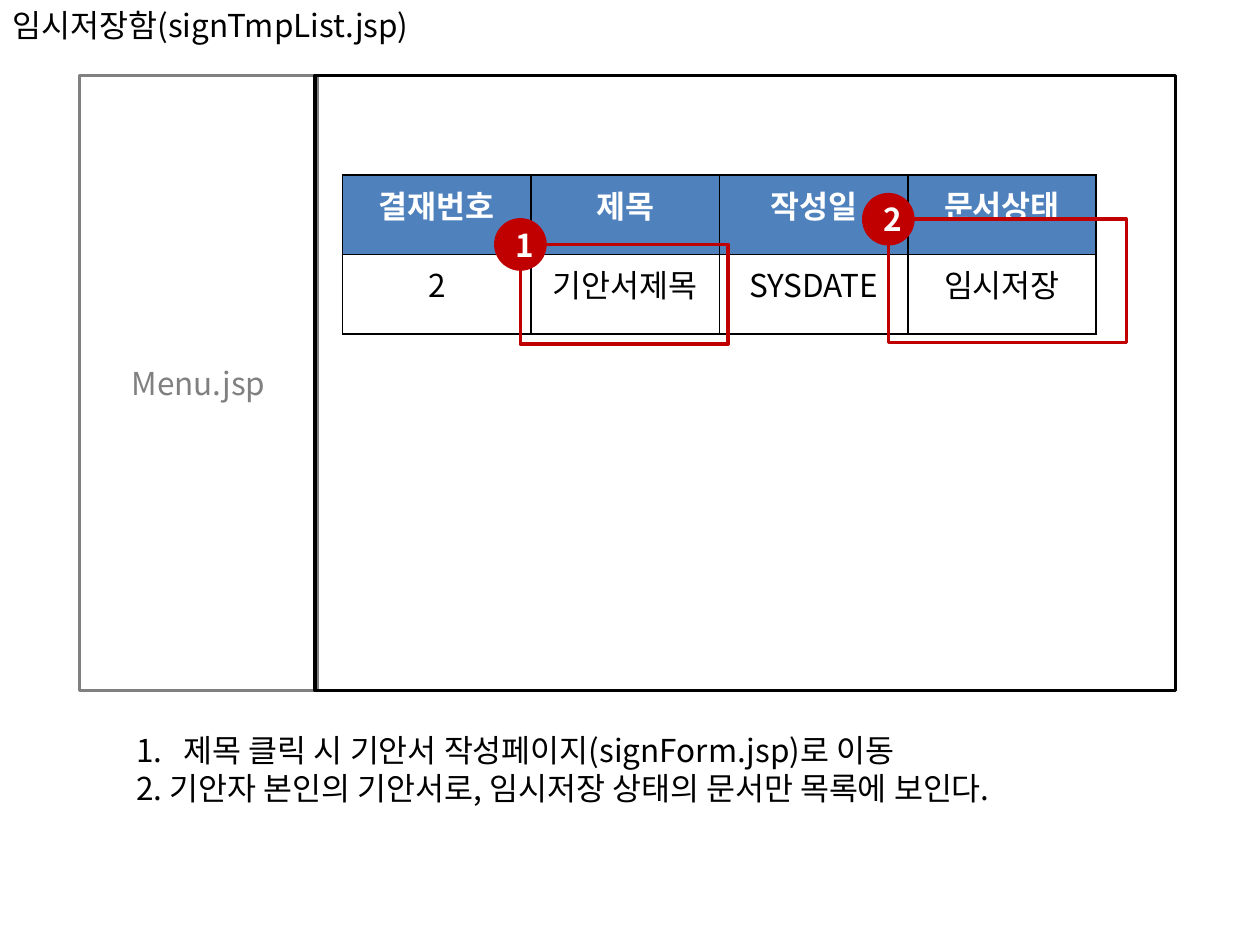
"""Build the wireframe slide for the temporary sign document list."""
from lxml.etree import SubElement
from pptx import Presentation
from pptx.dml.color import RGBColor
from pptx.enum.shapes import MSO_SHAPE
from pptx.enum.text import MSO_ANCHOR, MSO_AUTO_SIZE, PP_ALIGN
from pptx.oxml.ns import qn
from pptx.util import Inches, Pt

COLORS = {"ink": "000000", "paper": "FFFFFF", "menu": "808080", "head": "4F81BD", "mark": "C00000"}
FONT = "Noto Sans CJK KR"

prs = Presentation()
prs.slide_width, prs.slide_height = Inches(10), Inches(7.5)
COL, ROW = prs.slide_width / 100, prs.slide_height / 75
s = prs.slides.add_slide(prs.slide_layouts[1])


def write(tf, lines, color, align=PP_ALIGN.CENTER, bold=False):
    tf.text = "\n".join(lines)
    for p in tf.paragraphs:
        for name, value in {"alignment": align, "space_before": Pt(0)}.items():
            setattr(p, name, value)
        for r in p.runs:
            for name, value in {"size": Pt(18), "bold": bold, "name": FONT}.items():
                setattr(r.font, name, value)
            r.font.color.rgb = RGBColor.from_string(COLORS[color])
            SubElement(r.font._element, qn("a:ea"), typeface=FONT)


def add_box(kind, x, y, w, h, line, fill=None):
    sp = s.shapes.add_shape(kind, int(x * COL), int(y * ROW), int(w * COL), int(h * ROW))
    sp.shadow.inherit = False
    sp.line.color.rgb = RGBColor.from_string(COLORS[line])
    sp.line.width = Pt(2)
    if fill:
        sp.fill.solid()
        sp.fill.fore_color.rgb = RGBColor.from_string(COLORS[fill])
    else:
        sp.fill.background()
    return sp


notes = ["제목 클릭 시 기안서 작성페이지(signForm.jsp)로 이동",
         "2. 기안자 본인의 기안서로, 임시저장 상태의 문서만 목록에 보인다."]
title, body = s.placeholders
for sp, (x, y, w, h), lines in [
    (title, (0, 0, 33.5, 4), ["임시저장함(signTmpList.jsp)"]),
    (body, (9.8, 57.5, 82.7, 7.1), notes),
]:
    place = {"left": x * COL, "top": y * ROW, "width": w * COL, "height": h * ROW}
    for name, value in place.items():
        setattr(sp, name, int(value))
    tf = sp.text_frame
    write(tf, lines, "ink", PP_ALIGN.LEFT)
    layout = {"word_wrap": True, "auto_size": MSO_AUTO_SIZE.NONE, "vertical_anchor": MSO_ANCHOR.TOP}
    for name, value in layout.items():
        setattr(tf, name, value)

for p, indent in zip(body.text_frame.paragraphs, (Inches(0.38), 0)):
    pPr = p._p.get_or_add_pPr()
    pPr.set("marL", str(indent))
    pPr.set("indent", str(-indent))
    if indent:
        SubElement(pPr, qn("a:buFont"), typeface="+mj-lt")
        SubElement(pPr, qn("a:buAutoNum"), type="arabicPeriod")
    else:
        SubElement(pPr, qn("a:buNone"))

menu = add_box(MSO_SHAPE.RECTANGLE, 6.3, 6, 18.9, 48.8, "menu")
write(menu.text_frame, ["Menu.jsp"], "menu")
add_box(MSO_SHAPE.RECTANGLE, 25, 6, 68.3, 48.8, "ink")

rows = [["결재번호", "제목", "작성일", "문서상태"], ["2", "기안서제목", "SYSDATE", "임시저장"]]
table = s.shapes.add_table(2, 4, int(27.2 * COL), int(13.9 * ROW), int(59.8 * COL), int(12.6 * ROW)).table
table.first_row = table.horz_banding = False
for i, row in enumerate(rows):
    for j, text in enumerate(row):
        cell = table.cell(i, j)
        write(cell.text_frame, [text], "ink" if i else "paper", bold=i == 0)
        for side in ("lnL", "lnR", "lnT", "lnB"):
            ln = SubElement(cell._tc.get_or_add_tcPr(), qn("a:" + side), w=str(Pt(1)))
            SubElement(SubElement(ln, qn("a:solidFill")), qn("a:srgbClr"), val=COLORS["ink"])
        if i:
            cell.fill.background()
        else:
            cell.fill.solid()
            cell.fill.fore_color.rgb = RGBColor.from_string(COLORS["head"])

BADGE = 3.9
for number, (x, y, w, h) in enumerate([(41.3, 19.4, 16.5, 7.9), (70.5, 17.4, 18.9, 9.8)], 1):
    add_box(MSO_SHAPE.RECTANGLE, x, y, w, h, "mark")
    badge = add_box(MSO_SHAPE.OVAL, x - BADGE / 2, y - BADGE / 2, BADGE, BADGE, "mark", "mark")
    write(badge.text_frame, [str(number)], "paper", bold=True)

prs.save("out.pptx")
